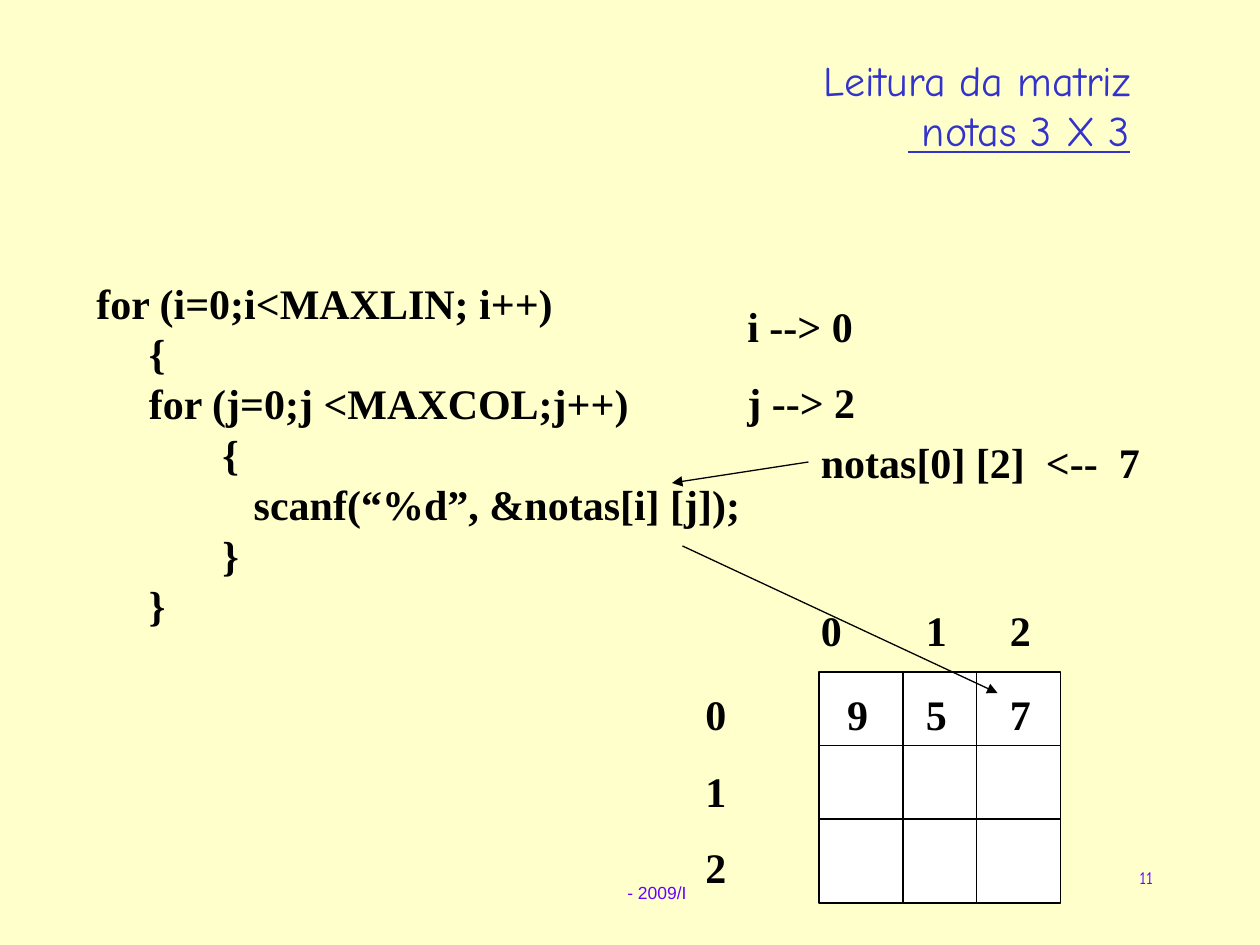
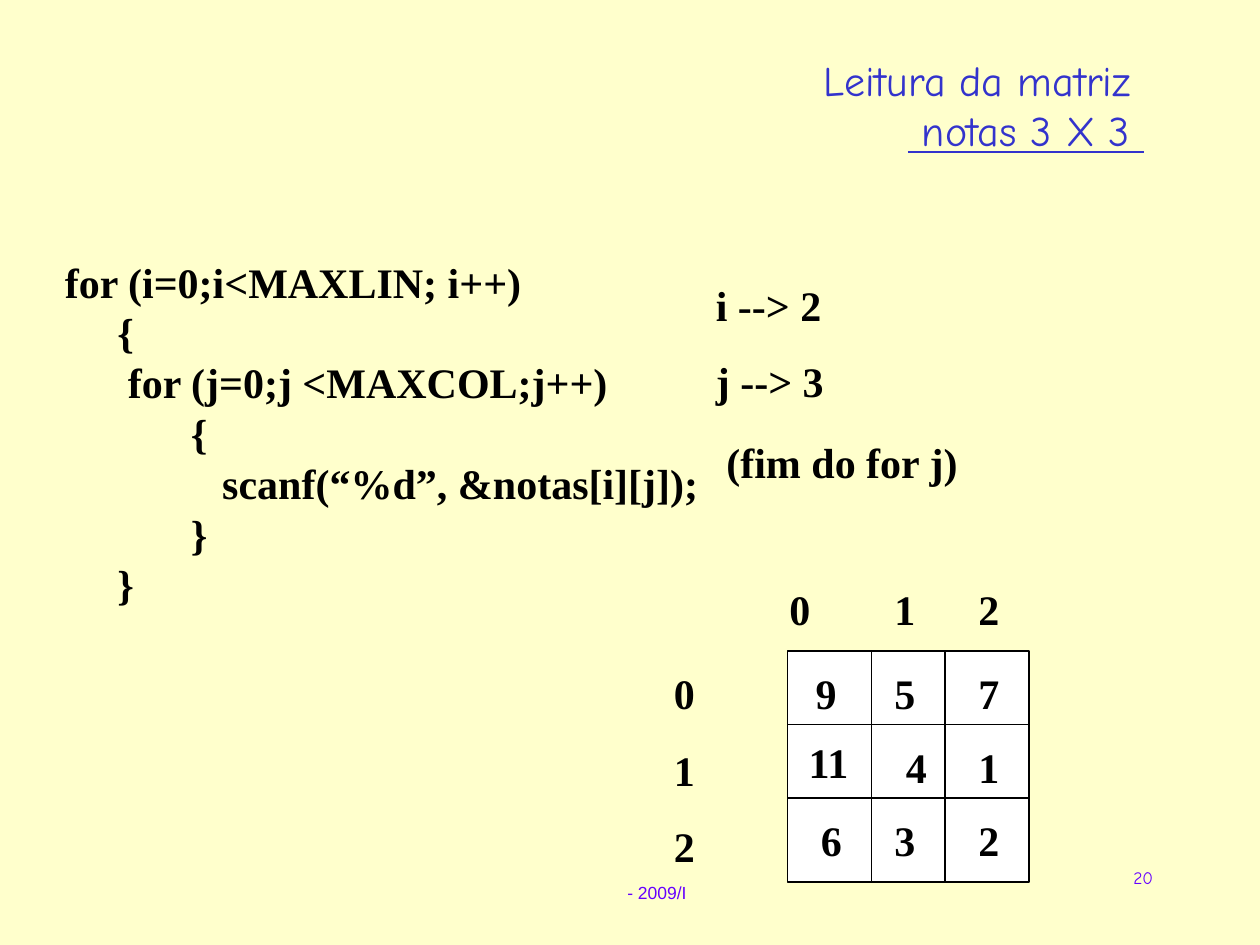
from itertools import accumulate
from lxml.etree import SubElement
from pptx import Presentation
from pptx.dml.color import RGBColor
from pptx.enum.shapes import MSO_CONNECTOR as Connector, MSO_SHAPE as Shape
from pptx.enum.text import PP_ALIGN as Align
from pptx.oxml.ns import qn
from pptx.util import Pt

COLOURS = {
    "background": "FFFFCC",
    "title": "3333CC",
    "footer": "6600FF",
    "ink": "000000",
    "cell": "FFFFFF",
}
BODY_FONT, TITLE_FONT, FOOTER_FONT = "Times New Roman", "Comic Neue", "Arial"
BODY_SIZE, FOOTER_SIZE = 24, 10
LINE_HEIGHT, PARAGRAPH_GAP = 28.8, 15
LINE_WIDTH = 0.75
COLUMN_WIDTHS, ROW_HEIGHTS = (48, 42, 48), (42, 42, 48)
VALUE_LEFTS, VALUE_TOPS = (9, 54, 102), (6, 48, 90)
VALUE_NUDGES = {"11": (-4, -2.4), "4": (6.5, 0), "6": (3, 0)}


def rgb(name):
    return RGBColor.from_string(COLOURS[name])


def format_runs(paragraph, font, size, colour, bold=False):
    for run in paragraph.runs:
        run.font.name = font
        run.font.size = Pt(size)
        run.font.bold = bold
        run.font.color.rgb = rgb(colour)


def add_box(slide, left, top, width, height, text, wrap=True):
    """Add a text box with one paragraph per line and return its text frame."""
    shape = slide.shapes.add_textbox(Pt(left), Pt(top), Pt(width), Pt(height))
    text_frame = shape.text_frame
    text_frame.word_wrap = wrap
    text_frame.text = text
    return text_frame


def add_body(slide, left, top, width, height, text, gap=0, wrap=True):
    text_frame = add_box(slide, left, top, width, height, text, wrap)
    for index, paragraph in enumerate(text_frame.paragraphs):
        if index:
            paragraph.space_before = Pt(gap)
        paragraph.line_spacing = Pt(LINE_HEIGHT)
        format_runs(paragraph, BODY_FONT, BODY_SIZE, "ink", bold=True)
    return text_frame


def add_title(slide, second_line):
    text_frame = add_box(slide, 463.7, 27.4, 198.7, 64.8,
                         f"Leitura da matriz\n{second_line}", wrap=False)
    for paragraph in text_frame.paragraphs:
        format_runs(paragraph, TITLE_FONT, BODY_SIZE, "title")
    second = text_frame.paragraphs[1]
    second._p.get_or_add_pPr().set("marL", str(Pt(48)))
    second.runs[0].font.underline = True


def add_footer(slide, page_number):
    term = add_box(slide, 351.4, 500.4, 48.2, 19.4, "- 2009/I", wrap=False)
    format_runs(term.paragraphs[0], FOOTER_FONT, FOOTER_SIZE, "footer")
    number = add_box(slide, 516, 492, 150, 36, str(page_number)).paragraphs[0]
    number.alignment = Align.RIGHT
    format_runs(number, TITLE_FONT, FOOTER_SIZE, "footer")


def add_column_labels(slide, left, top):
    text_frame = add_body(slide, left, top, 144, 36, "0\t1\t2")
    properties = text_frame.paragraphs[0]._p.get_or_add_pPr()
    stops = SubElement(properties, qn("a:tabLst"))
    for position in (60, 108):
        SubElement(stops, qn("a:tab"), pos=str(Pt(position)), algn="l")


def style_line(line):
    line.color.rgb = rgb("ink")
    line.width = Pt(LINE_WIDTH)


def add_line(slide, start, end):
    points = [Pt(value) for value in (*start, *end)]
    connector = slide.shapes.add_connector(Connector.STRAIGHT, *points)
    style_line(connector.line)
    SubElement(connector._element.spPr, qn("a:effectLst"))
    return connector


def add_arrow(slide, start, end):
    line = add_line(slide, start, end).line
    SubElement(line._get_or_add_ln(), qn("a:tailEnd"), type="triangle")


def add_matrix(slide, left, top, values):
    right, bottom = left + sum(COLUMN_WIDTHS), top + sum(ROW_HEIGHTS)
    frame = slide.shapes.add_shape(Shape.RECTANGLE, Pt(left), Pt(top),
                                   Pt(right - left), Pt(bottom - top))
    frame.shadow.inherit = False
    frame.fill.solid()
    frame.fill.fore_color.rgb = rgb("cell")
    style_line(frame.line)
    for offset in accumulate(ROW_HEIGHTS[:-1]):
        add_line(slide, (left, top + offset), (right, top + offset))
    for offset in accumulate(COLUMN_WIDTHS[:-1]):
        add_line(slide, (left + offset, top), (left + offset, bottom))
    for value_top, row in zip(VALUE_TOPS, values):
        for value_left, value in zip(VALUE_LEFTS, row):
            right_nudge, down_nudge = VALUE_NUDGES.get(value, (0, 0))
            add_body(slide, left + value_left + right_nudge,
                     top + value_top + down_nudge,
                     14.4 + 12 * len(value), 36, value, wrap=False)


def add_reading_slide(presentation, page_number, title, origin, code, state, values):
    """Add a step of the matrix reading, laid out from the code's corner."""
    slide = presentation.slides.add_slide(presentation.slide_layouts[6])
    slide.background.fill.solid()
    slide.background.fill.fore_color.rgb = rgb("background")
    left, top = origin
    add_footer(slide, page_number)
    add_body(slide, left, top, 400, 209, code)
    add_matrix(slide, left + 420, top + 229.2, values)
    add_column_labels(slide, left + 414, top + 187.2)
    add_body(slide, left + 348, top + 235.2, 36, 124, "0\n1\n2", PARAGRAPH_GAP)
    add_body(slide, left + 372, top + 13.2, 282, 80, state, PARAGRAPH_GAP)
    add_title(slide, title)
    return slide


def loop_code(inner_indent, element):
    return "\n".join((
        "for (i=0;i<MAXLIN; i++)",
        "     {",
        " " * inner_indent + "for (j=0;j <MAXCOL;j++)",
        "            {",
        f"               scanf(“%d”, &{element});",
        "            }",
        "     }",
    ))


def main():
    presentation = Presentation()
    presentation.slide_width, presentation.slide_height = Pt(720), Pt(540)

    first_row = add_reading_slide(
        presentation, 11, " notas 3 X 3", (48, 154.8),
        loop_code(5, "notas[i] [j]"), "i --> 0\nj --> 2",
        [("9", "5", "7")])
    add_body(first_row, 462, 246, 258, 36, "notas[0] [2]  <--  7")
    add_arrow(first_row, (462, 264), (384, 276))
    add_arrow(first_row, (390, 312), (570, 396))

    full_matrix = add_reading_slide(
        presentation, 20, " notas 3 X 3 ", (30, 142.8),
        loop_code(6, "notas[i][j]"), "i --> 2\nj --> 3",
        [("9", "5", "7"), ("11", "4", "1"), ("6", "3", "2")])
    add_body(full_matrix, 408, 246, 147, 36, "(fim do for j)")

    presentation.save("out.pptx")


if __name__ == "__main__":
    main()
